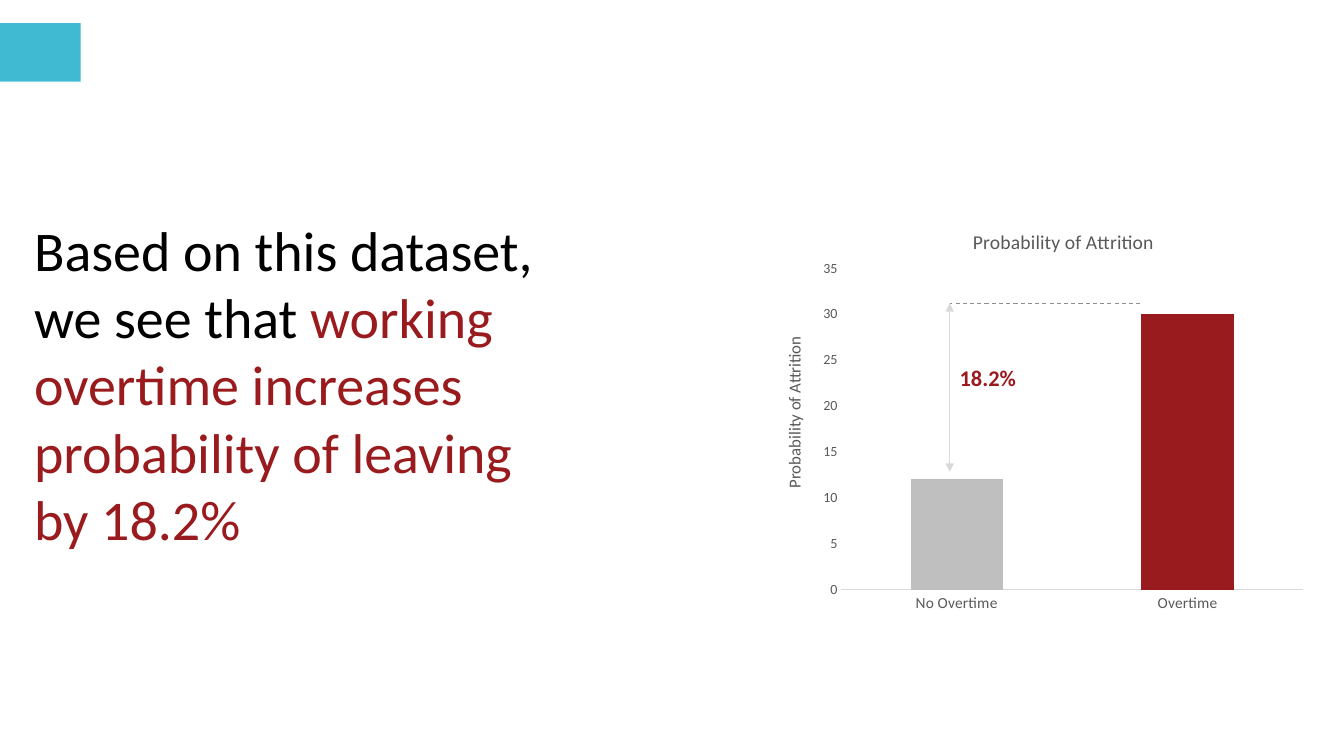
from dataclasses import dataclass

from lxml import etree
from pptx import Presentation
from pptx.chart.data import CategoryChartData
from pptx.dml.color import RGBColor
from pptx.enum.chart import XL_CHART_TYPE, XL_TICK_MARK
from pptx.enum.dml import MSO_LINE
from pptx.enum.shapes import MSO_CONNECTOR, MSO_SHAPE
from pptx.enum.text import MSO_AUTO_SIZE, PP_ALIGN
from pptx.oxml.ns import qn
from pptx.util import Inches, Pt

STACKED = XL_CHART_TYPE.COLUMN_STACKED
NO_TICK = XL_TICK_MARK.NONE
DASH = MSO_LINE.DASH
STRAIGHT = MSO_CONNECTOR.STRAIGHT
RECTANGLE = MSO_SHAPE.RECTANGLE
FIT_SHAPE = MSO_AUTO_SIZE.SHAPE_TO_FIT_TEXT
LEFT, CENTER = PP_ALIGN.LEFT, PP_ALIGN.CENTER

BLACK = RGBColor(0x00, 0x00, 0x00)
CRIMSON = RGBColor(0x99, 0x1B, 0x1E)
TEAL = RGBColor(0x40, 0xBA, 0xD2)
BAR_GRAY = RGBColor(0xBF, 0xBF, 0xBF)
LABEL_GRAY = RGBColor(0x59, 0x59, 0x59)
GUIDE_GRAY = RGBColor(0x8F, 0x8F, 0x8F)
PALE_GRAY = RGBColor(0xD9, 0xD9, 0xD9)

FONT = "Calibri"
CHART_TITLE = "Probability of Attrition"


@dataclass
class Run:
    text: str
    color: RGBColor
    bold: bool = False


@dataclass
class Label:
    left: float
    top: float
    width: float
    height: float
    size: int
    runs: list[Run]
    align: PP_ALIGN = LEFT
    wrap: bool = True
    rotation: int = 0


@dataclass
class Guide:
    start: tuple[float, float]
    end: tuple[float, float]
    color: RGBColor
    dashed: bool = False
    arrows: bool = False


GAP_X, GAP_TOP, GAP_BOTTOM = 9.42, 3.01, 4.68

LABELS = [
    Label(0.24, 2.09, 5.55, 3.47, 40, [
        Run("Based on this dataset, we see that ", BLACK),
        Run("working overtime increases probability of leaving by 18.2%", CRIMSON),
    ]),
    Label(6.14, 3.94, 3.47, 0.3, 12, [Run(CHART_TITLE, LABEL_GRAY)],
          align=CENTER, rotation=270),
    Label(GAP_X, 3.56, 0.8, 0.37, 16, [Run("18.2%", CRIMSON, bold=True)], wrap=False),
]
GUIDES = [
    Guide((11.31, GAP_TOP), (GAP_X, GAP_TOP), GUIDE_GRAY, dashed=True),
    Guide((GAP_X, GAP_TOP), (GAP_X, GAP_BOTTOM), PALE_GRAY, arrows=True),
]


def style_font(font, size: int, color: RGBColor, bold: bool = False) -> None:
    font.name = FONT
    font.size = Pt(size)
    font.bold = bold
    font.color.rgb = color


def add_label(slide, label: Label) -> None:
    box = slide.shapes.add_textbox(Inches(label.left), Inches(label.top),
                                   Inches(label.width), Inches(label.height))
    box.rotation = label.rotation
    frame = box.text_frame
    frame.word_wrap = label.wrap
    frame.auto_size = FIT_SHAPE
    paragraph = frame.paragraphs[0]
    paragraph.alignment = label.align
    for part in label.runs:
        run = paragraph.add_run()
        run.text = part.text
        style_font(run.font, label.size, part.color, part.bold)


def add_guide(slide, guide: Guide) -> None:
    connector = slide.shapes.add_connector(
        STRAIGHT, *(Inches(value) for value in guide.start + guide.end))
    connector.line.color.rgb = guide.color
    connector.line.width = Pt(0.75)
    if guide.dashed:
        connector.line.dash_style = DASH
    if guide.arrows:
        line = connector.line._get_or_add_ln()
        for end in ("a:headEnd", "a:tailEnd"):
            etree.SubElement(line, qn(end), type="triangle")
    etree.SubElement(connector._element.spPr, qn("a:effectLst"))


def place_in_chart(parent, index: int, modes: dict[str, str],
                   fractions: dict[str, float]) -> None:
    """Give a chart part a manual layout, in fractions of the chart."""
    for old in parent.findall(qn("c:layout")):
        parent.remove(old)
    layout = etree.Element(qn("c:layout"))
    manual = etree.SubElement(layout, qn("c:manualLayout"))
    for tag, value in (modes | fractions).items():
        etree.SubElement(manual, qn(f"c:{tag}"), val=str(value))
    parent.insert(index, layout)


def add_attrition_chart(slide) -> None:
    data = CategoryChartData()
    data.categories = ["No Overtime", "Overtime"]
    data.add_series("Series 1", [12, None])
    data.add_series("Series 2", [None, 30])
    chart = slide.shapes.add_chart(STACKED, Inches(8.02), Inches(2.02),
                                   Inches(4.98), Inches(4.14), data).chart
    style_font(chart.font, 10, BLACK)
    chart.has_legend = False

    chart.has_title = True
    title_run = chart.chart_title.text_frame.paragraphs[0].add_run()
    title_run.text = CHART_TITLE
    style_font(title_run.font, 14, LABEL_GRAY)
    edges = {"xMode": "edge", "yMode": "edge"}
    place_in_chart(chart.chart_title._element, 1, edges, {"x": 0.32, "y": 0.05})
    place_in_chart(chart._chartSpace.chart.plotArea, 0,
                   {"layoutTarget": "inner"} | edges,
                   {"x": 0.065, "y": 0.155, "w": 0.92, "h": 0.77})

    plot = chart.plots[0]
    plot.gap_width, plot.overlap = 150, 100
    plot.vary_by_categories = False
    no_overtime, overtime = plot.series
    for bar, color in ((no_overtime, TEAL), (no_overtime.points[0], BAR_GRAY),
                       (overtime, CRIMSON)):
        bar.format.fill.solid()
        bar.format.fill.fore_color.rgb = color

    categories, values = chart.category_axis, chart.value_axis
    for axis, size in ((categories, 11), (values, 10)):
        axis.major_tick_mark = axis.minor_tick_mark = NO_TICK
        axis.has_major_gridlines = False
        style_font(axis.tick_labels.font, size, LABEL_GRAY)
    categories.format.line.color.rgb = PALE_GRAY
    categories.format.line.width = Pt(0.75)
    values.format.line.fill.background()
    values.minimum_scale, values.maximum_scale, values.major_unit = 0, 35, 5


def add_accent(slide) -> None:
    accent = slide.shapes.add_shape(RECTANGLE, 0, Inches(0.23), Inches(0.8), Inches(0.58))
    accent.shadow.inherit = False
    accent.fill.solid()
    accent.fill.fore_color.rgb = TEAL
    accent.line.fill.background()


def main() -> None:
    deck = Presentation()
    deck.slide_width, deck.slide_height = Inches(13.33), Inches(7.5)
    slide = deck.slides.add_slide(deck.slide_layouts[6])
    headline, axis_title, difference = LABELS
    add_label(slide, headline)
    add_accent(slide)
    add_attrition_chart(slide)
    add_label(slide, axis_title)
    for guide in GUIDES:
        add_guide(slide, guide)
    add_label(slide, difference)
    deck.save("out.pptx")


if __name__ == "__main__":
    main()
